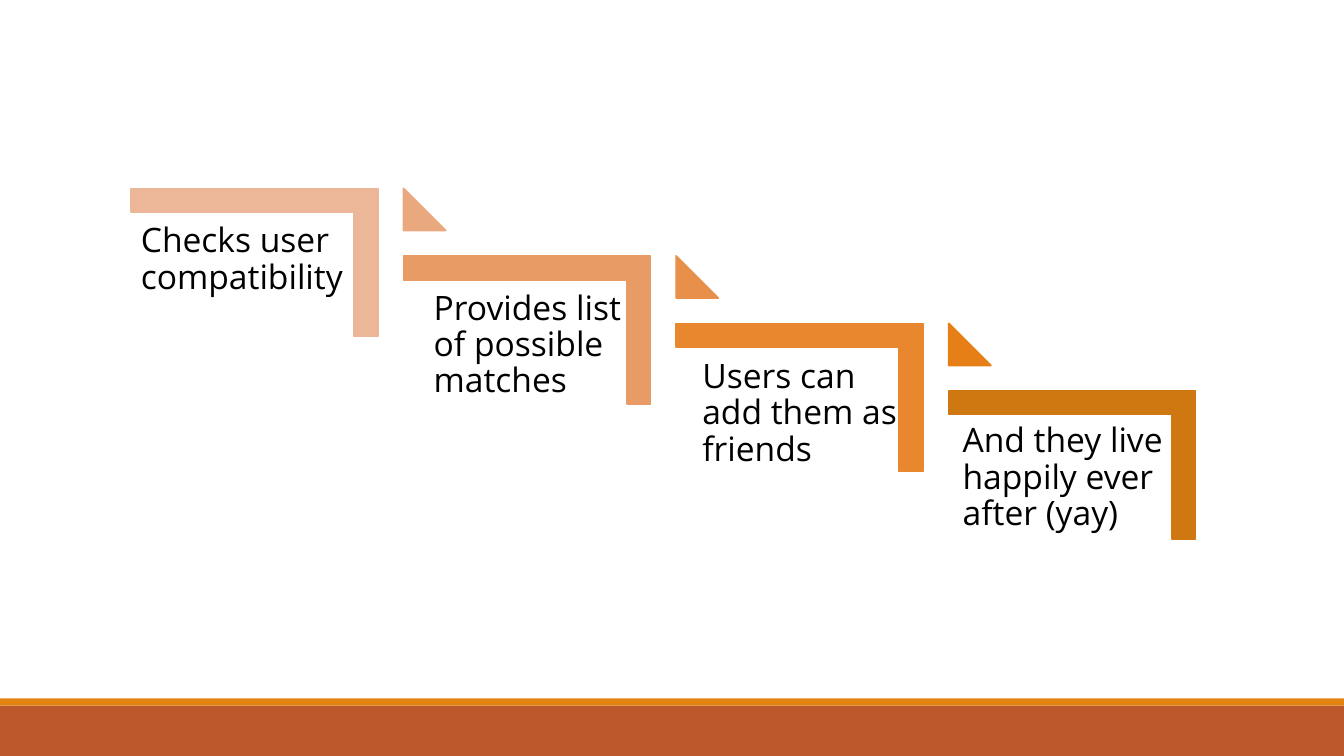
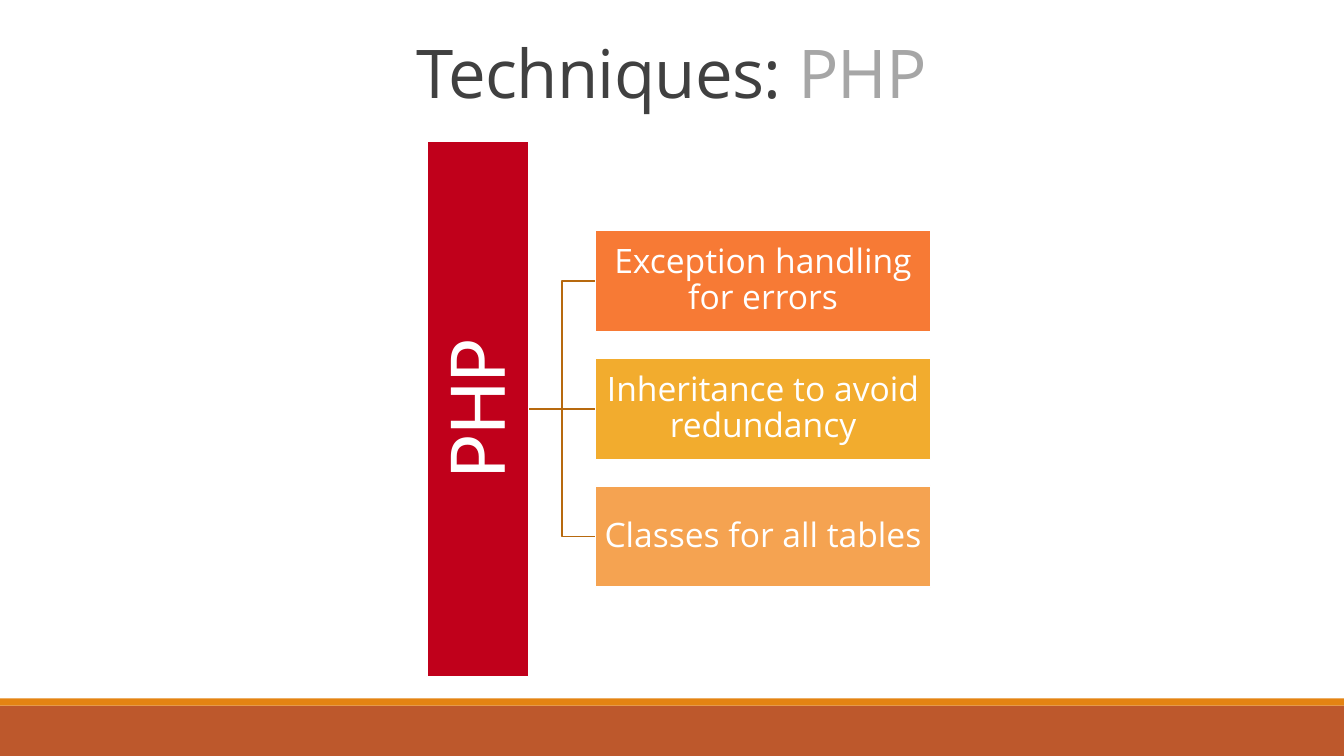
from dataclasses import dataclass

from pptx import Presentation
from pptx.dml.color import RGBColor
from pptx.enum.shapes import MSO_CONNECTOR, MSO_SHAPE
from pptx.enum.text import MSO_ANCHOR, MSO_AUTO_SIZE, PP_ALIGN
from pptx.oxml.ns import qn
from pptx.util import Cm, Pt

RECTANGLE = MSO_SHAPE.RECTANGLE
CORNER = MSO_SHAPE.CORNER
TRIANGLE = MSO_SHAPE.ISOSCELES_TRIANGLE
STRAIGHT, ELBOW = MSO_CONNECTOR.STRAIGHT, MSO_CONNECTOR.ELBOW
TOP, MIDDLE, BOTTOM = MSO_ANCHOR.TOP, MSO_ANCHOR.MIDDLE, MSO_ANCHOR.BOTTOM
LEFT, CENTER = PP_ALIGN.LEFT, PP_ALIGN.CENTER
NO_AUTOFIT = MSO_AUTO_SIZE.NONE
TITLE_ONLY, BLANK = 5, 6
LEFT_SIDE, RIGHT_SIDE = 1, 3


@dataclass(frozen=True)
class Theme:
    font: str = "Open Sans"
    root_font: str = "Calibri"
    title_size: float = 48
    root_size: float = 60
    body_size: float = 24
    line_width: float = 1.25
    title: str = "404040"
    title_accent: str = "A6A6A6"
    black: str = "000000"
    white: str = "FFFFFF"
    footer: str = "BD582C"
    footer_edge: str = "E48312"
    connector: str = "B7690E"
    root: str = "C0001B"


THEME = Theme()
SLIDE_WIDTH, SLIDE_HEIGHT = 33.87, 19.05

STEPS = [
    ("Checks user compatibility", "ECB698", (0, 0.64)),
    ("Provides list of possible matches", "E89B65", (0.51, 0.64)),
    ("Users can add them as friends", "E8872E", (0.41, 0.66)),
    ("And they live happily ever after (yay)", "CF7710", (0.1, 0.58)),
]
STEP_ARROWS = ["EAA87F", "E8904A", "E57F16"]
TECHNIQUES = [
    ("Exception handling for errors", "F77A35"),
    ("Inheritance to avoid redundancy", "F2AC2E"),
    ("Classes for all tables", "F5A351"),
]


def rgb(color):
    return RGBColor.from_string(color)


def add_box(slide, kind, left, top, width, height, fill, line=None):
    shape = slide.shapes.add_shape(kind, Cm(left), Cm(top), Cm(width), Cm(height))
    shape.shadow.inherit = False
    shape.fill.solid()
    shape.fill.fore_color.rgb = rgb(fill)
    if line:
        shape.line.color.rgb = rgb(line)
        shape.line.width = Pt(THEME.line_width)
    else:
        shape.line.fill.background()
    return shape


def set_frame(text_frame, anchor, inset=None):
    text_frame.word_wrap = True
    text_frame.auto_size = NO_AUTOFIT
    text_frame.vertical_anchor = anchor
    if inset is not None:
        text_frame.margin_left = text_frame.margin_right = Cm(inset)
        text_frame.margin_top = text_frame.margin_bottom = Cm(inset)


def set_paragraph(paragraph, alignment, line_spacing=0.9):
    paragraph.alignment = alignment
    paragraph.line_spacing = line_spacing


def add_run(paragraph, text, size, color, font=THEME.font):
    run = paragraph.add_run()
    run.text = text
    run.font.name = font
    run.font.size = Pt(size)
    run.font.color.rgb = rgb(color)
    return run


def add_title(slide, parts):
    title = slide.shapes.title
    title.left, title.top = Cm(0), Cm(-1.09)
    title.width, title.height = Cm(SLIDE_WIDTH), Cm(4.04)
    set_frame(title.text_frame, BOTTOM)
    paragraph = title.text_frame.paragraphs[0]
    set_paragraph(paragraph, CENTER, 0.85)
    for text, color in parts:
        run = add_run(paragraph, text, THEME.title_size, color)
        run._r.get_or_add_rPr().set("spc", "-50")


def add_step_text(slide, text, left, top):
    box = slide.shapes.add_textbox(Cm(left), Cm(top), Cm(5.61), Cm(4.9))
    set_frame(box.text_frame, TOP, 0.25)
    paragraph = box.text_frame.paragraphs[0]
    set_paragraph(paragraph, LEFT)
    add_run(paragraph, text, THEME.body_size, THEME.black)


def add_node(slide, text, left, top, width, height, fill, inset=0.04,
             size=THEME.body_size, font=THEME.font):
    node = add_box(slide, RECTANGLE, left, top, width, height, fill, THEME.white)
    set_frame(node.text_frame, MIDDLE, inset)
    paragraph = node.text_frame.paragraphs[0]
    set_paragraph(paragraph, CENTER)
    add_run(paragraph, text, size, THEME.white, font)
    return node


def join_nodes(slide, parent, child, kind):
    connector = slide.shapes.add_connector(kind, 0, 0, 0, 0)
    connector.begin_connect(parent, RIGHT_SIDE)
    connector.end_connect(child, LEFT_SIDE)
    connector.line.color.rgb = rgb(THEME.connector)
    connector.line.width = Pt(THEME.line_width)
    properties = connector.element.spPr
    properties.append(properties.makeelement(qn("a:effectLst"), {}))
    slide.shapes.element.insert(2, connector.element)


def add_master_bands(presentation, slide):
    master_tree = presentation.slide_master.shapes.element
    bands = [(17.6, 0.18, THEME.footer_edge), (17.78, 1.27, THEME.footer)]
    for top, height, fill in bands:
        band = add_box(slide, RECTANGLE, 0, top, SLIDE_WIDTH, height, fill)
        master_tree.insert(2, band.element)


def build_steps_slide(slide):
    left, top = 3.3, 4.75
    step_right, step_down = 6.87, 1.7
    for index, (text, color, (shift_right, shift_down)) in enumerate(STEPS):
        step_left = left + index * step_right
        step_top = top + index * step_down
        corner = add_box(slide, CORNER, step_left, step_top, 6.22, 3.73, color, color)
        corner.rotation = 180
        corner.adjustments[0] = corner.adjustments[1] = 0.16
        add_step_text(slide, text, step_left + shift_right, step_top + shift_down)
    for index, color in enumerate(STEP_ARROWS):
        arrow = add_box(slide, TRIANGLE, left + (index + 1) * step_right,
                        top + index * step_down, 1.06, 1.06, color, color)
        arrow.rotation = 90
        arrow.adjustments[0] = 1


def build_techniques_slide(slide):
    add_title(slide, [("Techniques: ", THEME.title), ("PHP", THEME.title_accent)])
    center, thickness, root_height, pitch = 10.3, 2.56, 13.5, 3.22
    root = add_node(slide, "PHP", 10.76, center - root_height / 2, thickness,
                    root_height, THEME.root, 0.1, THEME.root_size, THEME.root_font)
    root.text_frame._txBody.bodyPr.set("vert", "vert270")
    middle = len(TECHNIQUES) // 2
    for index, (text, color) in enumerate(TECHNIQUES):
        node_top = center - thickness / 2 + (index - middle) * pitch
        node = add_node(slide, text, 15.01, node_top, 8.44, thickness, color)
        join_nodes(slide, root, node, STRAIGHT if index == middle else ELBOW)


def main():
    presentation = Presentation()
    presentation.slide_width = Cm(SLIDE_WIDTH)
    presentation.slide_height = Cm(SLIDE_HEIGHT)
    layouts = presentation.slide_layouts
    steps_slide = presentation.slides.add_slide(layouts[BLANK])
    add_master_bands(presentation, steps_slide)
    build_steps_slide(steps_slide)
    build_techniques_slide(presentation.slides.add_slide(layouts[TITLE_ONLY]))
    presentation.save("out.pptx")


if __name__ == "__main__":
    main()
